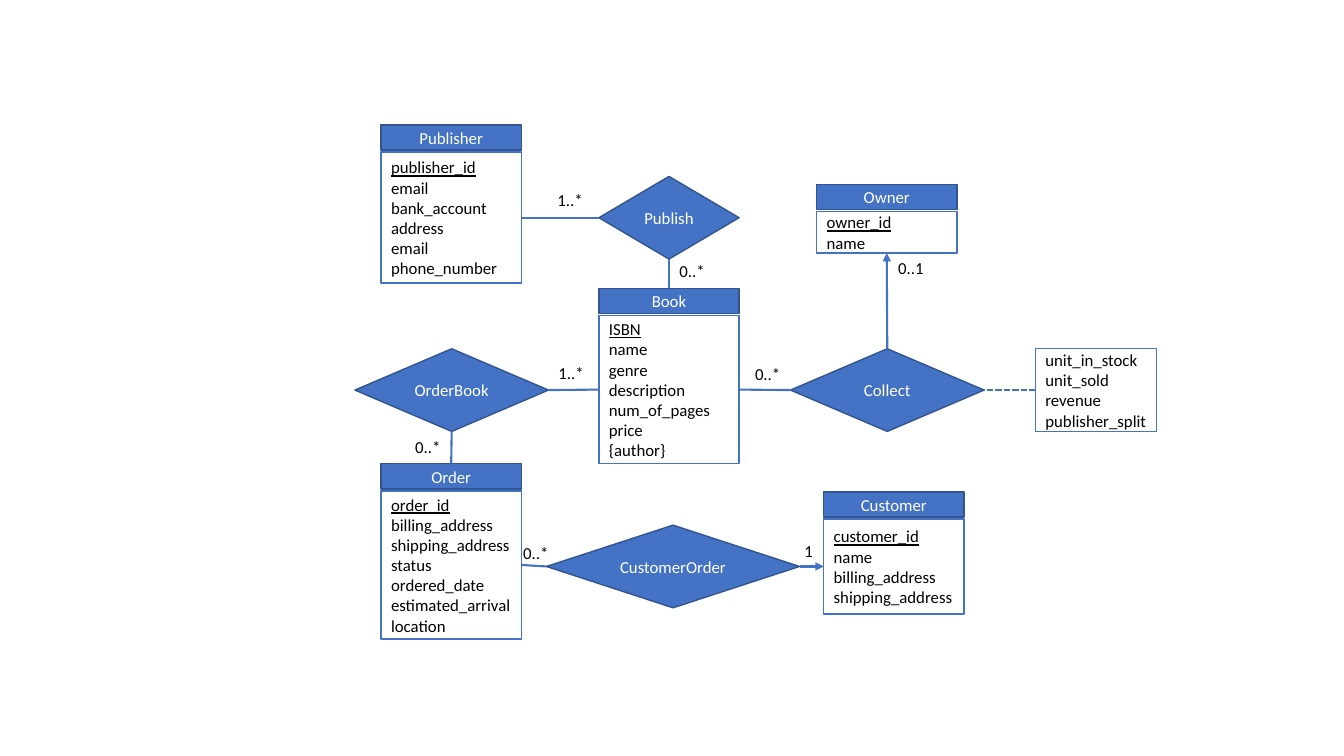
import pptx
import pptx.util
import pptx.dml.color
import pptx.enum.dml
import pptx.enum.shapes
import pptx.enum.text
import pptx.oxml
import pptx.oxml.ns

Inches = pptx.util.Inches
Pt = pptx.util.Pt
SHAPES = pptx.enum.shapes.MSO_SHAPE
ALIGN = pptx.enum.text.PP_ALIGN
COLORS = {"blue": "4472C4", "edge": "325491", "white": "FFFFFF", "black": "000000"}
TOP, LEFT, BOTTOM, RIGHT = range(4)
ENTITY_WIDTH = 1.39
HEADER_HEIGHT = 0.25
BODY_OFFSET = 0.27
DIAMOND_HEIGHT = 0.82

ENTITIES = {
    "Book": (5.94, 2.86, 1.47, ["ISBN", "name", "genre", "description",
                                "num_of_pages", "price", "{author}"]),
    "Customer": (8.17, 4.88, 0.94, ["customer_id", "name", "billing_address",
                                    "shipping_address"]),
    "Order": (3.78, 4.6, 1.47, ["order_id", "billing_address", "shipping_address", "status",
                                "ordered_date", "estimated_arrival", "location"]),
    "Owner": (8.1, 1.83, 0.41, ["owner_id", "name"]),
    "Publisher": (3.78, 1.24, 1.3, ["publisher_id", "email", "bank_account", "address",
                                    "email", "phone_number"]),
}
RELATIONSHIPS = {
    "CustomerOrder": (5.42, 5.21, 2.51),
    "OrderBook": (3.52, 3.46, 1.92),
    "Publish": (5.94, 1.75, 1.39),
    "Collect": (7.84, 3.46, 1.92),
}
STOCK_FIELDS = ["unit_in_stock", "unit_sold", "revenue", "publisher_split"]
LINKS = [
    ("CustomerOrder", LEFT, "Order body", RIGHT, None),
    ("CustomerOrder", RIGHT, "Customer body", LEFT, "arrow"),
    ("OrderBook", BOTTOM, "Order", TOP, None),
    ("Book body", LEFT, "OrderBook", RIGHT, None),
    ("Publish", BOTTOM, "Book", TOP, None),
    ("Publisher body", RIGHT, "Publish", LEFT, None),
    ("Collect", LEFT, "Book body", RIGHT, None),
    ("Collect", TOP, "Owner body", BOTTOM, "arrow"),
    ("Stock", LEFT, "Collect", RIGHT, "dash"),
]
CARDINALITIES = [
    ("1", 7.88, 5.32, 0.29), ("0..*", 5.09, 5.34, 0.46), ("1..*", 5.44, 3.55, 0.46),
    ("0..*", 4.02, 4.28, 0.46), ("0..*", 6.64, 2.54, 0.46), ("1..*", 5.43, 1.83, 0.46),
    ("0..*", 7.39, 3.56, 0.46), ("0..1", 8.81, 2.51, 0.46),
]


def color(name):
    return pptx.dml.color.RGBColor.from_string(COLORS[name])


def write_lines(shape, lines, text_color, alignment, key=None):
    frame = shape.text_frame
    frame.text = "\n".join(lines)
    for paragraph in frame.paragraphs:
        paragraph.alignment = alignment
        paragraph.font.name = "Calibri"
        paragraph.font.size = Pt(12)
        paragraph.font.color.rgb = color(text_color)
        paragraph.font.underline = paragraph.text == key


def add_box(slide, kind, box, fill, line):
    shape = slide.shapes.add_shape(kind, *map(Inches, box))
    shape.shadow.inherit = False
    shape.fill.solid()
    shape.fill.fore_color.rgb = color(fill)
    shape.line.color.rgb = color(line)
    shape.line.width = Pt(1)
    shape.text_frame.vertical_anchor = pptx.enum.text.MSO_ANCHOR.MIDDLE
    return shape


def add_title_shape(slide, kind, box, title):
    shape = add_box(slide, kind, box, "blue", "edge")
    write_lines(shape, [title], "white", ALIGN.CENTER)
    return shape


def add_field_list(slide, box, fields, key=None):
    shape = add_box(slide, SHAPES.RECTANGLE, box, "white", "blue")
    write_lines(shape, fields, "black", ALIGN.LEFT, key)
    return shape


def add_entity(slide, title, left, top, body_height, fields):
    body_box = (left, top + BODY_OFFSET, ENTITY_WIDTH, body_height)
    body = add_field_list(slide, body_box, fields, fields[0])
    header_box = (left, top, ENTITY_WIDTH, HEADER_HEIGHT)
    header = add_title_shape(slide, SHAPES.RECTANGLE, header_box, title)
    return header, body


def add_link(slide, start, start_site, end, end_site, style):
    connector = slide.shapes.add_connector(
        pptx.enum.shapes.MSO_CONNECTOR.STRAIGHT, 0, 0, 0, 0)
    connector.begin_connect(start, start_site)
    connector.end_connect(end, end_site)
    connector.line.color.rgb = color("blue")
    connector.line.width = Pt(1.5)
    if style == "dash":
        connector.line.dash_style = pptx.enum.dml.MSO_LINE.SQUARE_DOT
    if style == "arrow":
        arrowhead = pptx.oxml.parse_xml(
            f'<a:tailEnd {pptx.oxml.ns.nsdecls("a")} type="triangle"/>')
        connector.line._get_or_add_ln().append(arrowhead)
    connector._element.spPr.append(
        pptx.oxml.parse_xml(f'<a:effectLst {pptx.oxml.ns.nsdecls("a")}/>'))


def add_cardinality(slide, text, left, top, width):
    label = slide.shapes.add_textbox(*map(Inches, (left, top, width, 0.3)))
    label.text_frame.word_wrap = False
    write_lines(label, [text], "black", ALIGN.LEFT)


def add_diagram(slide):
    nodes = {}
    for title, (left, top, body_height, fields) in ENTITIES.items():
        nodes[title], nodes[f"{title} body"] = add_entity(
            slide, title, left, top, body_height, fields)
    for title, (left, top, width) in RELATIONSHIPS.items():
        box = (left, top, width, DIAMOND_HEIGHT)
        nodes[title] = add_title_shape(slide, SHAPES.DIAMOND, box, title)
    nodes["Stock"] = add_field_list(slide, (10.27, 3.46, 1.2, DIAMOND_HEIGHT), STOCK_FIELDS)
    for start, start_site, end, end_site, style in LINKS:
        add_link(slide, nodes[start], start_site, nodes[end], end_site, style)
    for cardinality in CARDINALITIES:
        add_cardinality(slide, *cardinality)


def main():
    presentation = pptx.Presentation()
    presentation.slide_width = Inches(13.33)
    presentation.slide_height = Inches(7.5)
    slide = presentation.slides.add_slide(presentation.slide_layouts[6])
    add_diagram(slide)
    presentation.save("out.pptx")


if __name__ == "__main__":
    main()
